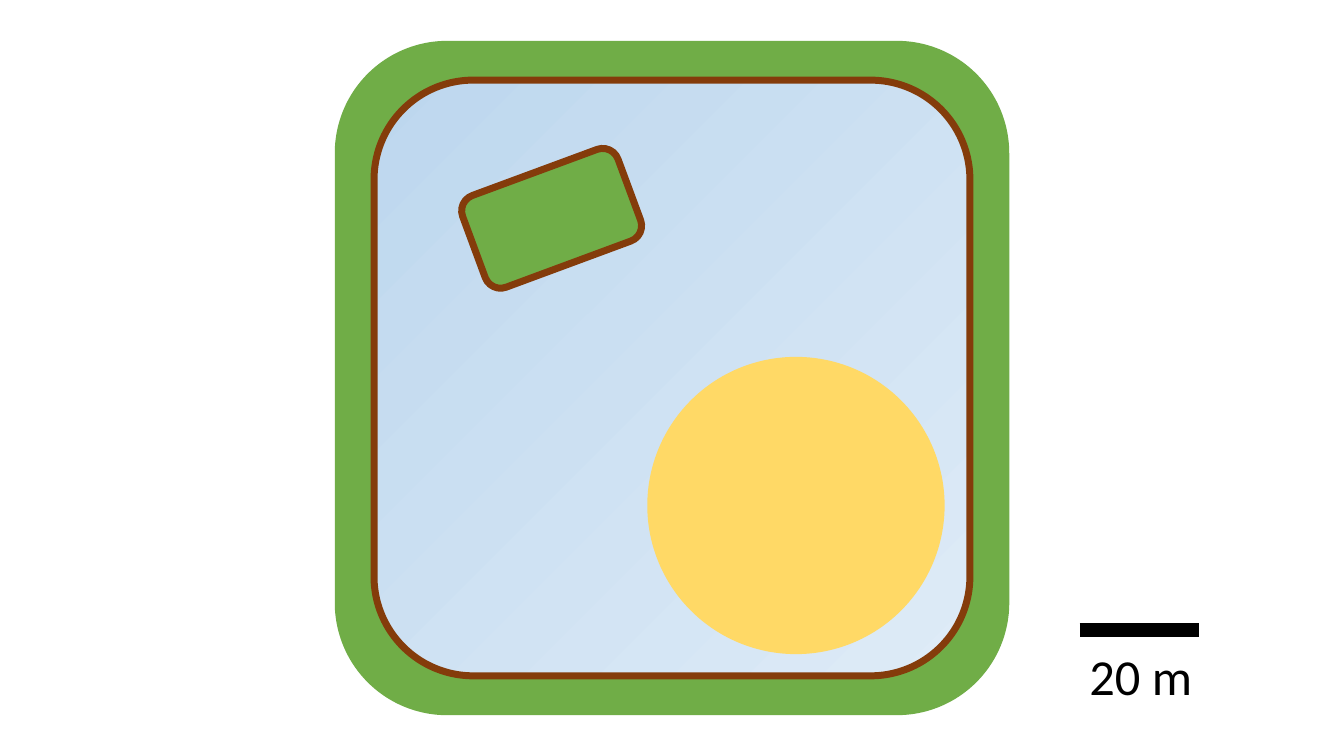
from lxml import etree
from pptx import Presentation
from pptx.dml.color import RGBColor
from pptx.enum.shapes import MSO_CONNECTOR, MSO_SHAPE
from pptx.enum.text import MSO_AUTO_SIZE
from pptx.oxml.ns import qn
from pptx.util import Inches, Pt

ROUND, OVAL = MSO_SHAPE.ROUNDED_RECTANGLE, MSO_SHAPE.OVAL
STRAIGHT = MSO_CONNECTOR.STRAIGHT

THEME = {
    "grass": "70AD47", "water": ("BDD7EE", "DEEBF7"), "sand": "FFD966",
    "shore": "843C0B", "ink": "000000", "font": "Calibri",
    "label": 36, "outline": 5, "bar": 10,
}

AREAS = [
    {"preset": ROUND, "offset": (0, 0), "metres": (113.2, 113.2), "fill": "grass"},
    {"preset": ROUND, "offset": (0, 0), "metres": (100, 100), "fill": "water",
     "line": "shore"},
    {"preset": OVAL, "offset": (20.8, 21.4), "metres": (49.9, 49.9), "fill": "sand"},
    {"preset": ROUND, "offset": (-20.2, -26.8), "metres": (27.8, 16.4),
     "fill": "grass", "line": "shore", "rotation": 339.7},
]
SCALE = {"text": "20 m", "metres": 20, "offset": (68.4, 42.3)}

WIDTH, HEIGHT = 13.33, 7.5
CENTRE = (WIDTH * 0.5, HEIGHT * 0.5)
INCH_PER_METRE = 5.91 / 100


def colour(name):
    return RGBColor.from_string(THEME[name])


def place(offset):
    return [Inches(c + o * INCH_PER_METRE) for c, o in zip(CENTRE, offset)]


def radial_fill(sp, stops):
    sp.fill.gradient()
    for stop, value in zip(sp.fill.gradient_stops, stops):
        stop.color.rgb = RGBColor.from_string(value)
    grad = sp._element.spPr.find(qn("a:gradFill"))
    grad.remove(grad.find(qn("a:lin")))
    shade = etree.SubElement(grad, qn("a:path"), path="circle")
    etree.SubElement(shade, qn("a:fillToRect"), r="100000", b="100000")


def add_area(slide, area):
    x, y = place(area["offset"])
    w, h = [Inches(side * INCH_PER_METRE) for side in area["metres"]]
    sp = slide.shapes.add_shape(area["preset"], x - w // 2, y - h // 2, w, h)
    sp.rotation = area.get("rotation", 0)
    sp.shadow.inherit = False
    if area["fill"] == "water":
        radial_fill(sp, THEME["water"])
    else:
        sp.fill.solid()
        sp.fill.fore_color.rgb = colour(area["fill"])
    if "line" in area:
        sp.line.color.rgb = colour(area["line"])
        sp.line.width = Pt(THEME["outline"])
    else:
        sp.line.fill.background()


def add_scale(slide):
    x, y = place(SCALE["offset"])
    length = Inches(SCALE["metres"] * INCH_PER_METRE)
    bar = slide.shapes.add_connector(STRAIGHT, x, y, x + length, y)
    bar.line.color.rgb = colour("ink")
    bar.line.width = Pt(THEME["bar"])
    etree.SubElement(bar._element.spPr, qn("a:effectLst"))

    label = slide.shapes.add_textbox(x, y + Inches(0.1), Inches(1.23), Inches(0.71))
    tf = label.text_frame
    tf.word_wrap = False
    tf.auto_size = MSO_AUTO_SIZE.SHAPE_TO_FIT_TEXT
    r = tf.paragraphs[0].add_run()
    r.text = SCALE["text"]
    r.font.name = THEME["font"]
    r.font.size = Pt(THEME["label"])
    r.font.color.rgb = colour("ink")


def main():
    prs = Presentation()
    prs.slide_width, prs.slide_height = Inches(WIDTH), Inches(HEIGHT)
    slide = prs.slides.add_slide(prs.slide_layouts[6])
    for area in AREAS:
        add_area(slide, area)
    add_scale(slide)
    prs.save("out.pptx")


if __name__ == "__main__":
    main()
